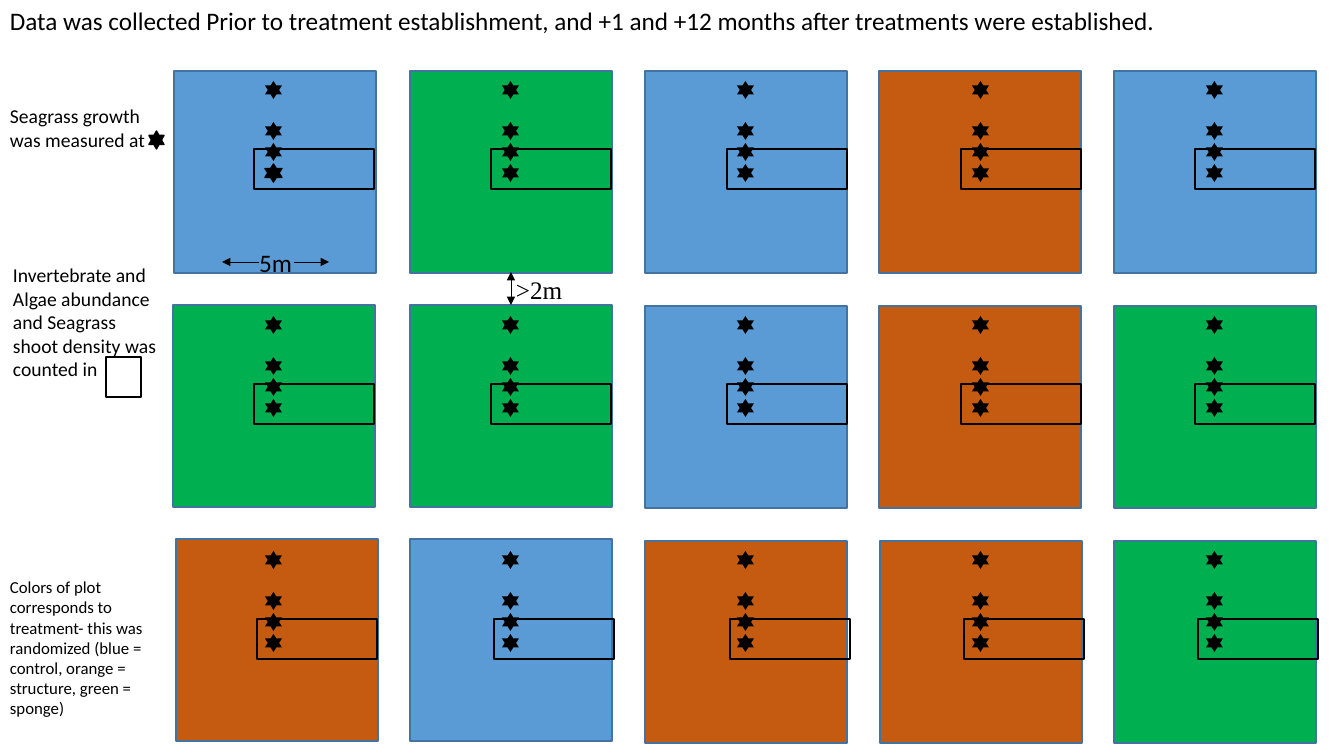
from itertools import product
from pptx import Presentation
from pptx.dml.color import RGBColor
from pptx.enum.shapes import MSO_CONNECTOR, MSO_SHAPE
from pptx.enum.text import MSO_AUTO_SIZE, PP_ALIGN
from pptx.oxml.ns import qn
from pptx.util import Emu, Pt
from lxml.etree import SubElement

PX = 914400 / 100.8
THEME = {
    "black": RGBColor(0x00, 0x00, 0x00),
    "edge": RGBColor(0x43, 0x73, 0x9E),
    "control": RGBColor(0x5B, 0x9B, 0xD5),
    "sponge": RGBColor(0x00, 0xB0, 0x50),
    "structure": RGBColor(0xC5, 0x5A, 0x11),
    "title": Pt(18), "body": Pt(14), "note": Pt(12),
    "outline": Pt(1), "arrow": Pt(0.5),
    "sans": "Calibri", "serif": "Times New Roman",
}


def px(*values):
    return [Emu(round(v * PX)) for v in values]


def add_mark(kind, box, fill=None, line=None):
    sp = s.shapes.add_shape(kind, *px(*box))
    sp.shadow.inherit = False
    for part, color in ((sp.fill, fill), (sp.line.fill, line)):
        if color:
            part.solid()
            part.fore_color.rgb = THEME[color]
        else:
            part.background()
    if line:
        sp.line.width = THEME["outline"]


prs = Presentation()
prs.slide_width, prs.slide_height = px(1344, 756)
s = prs.slides.add_slide(prs.slide_layouts[6])

plots = [
    (174, 71, "control"), (410, 71, "sponge"), (645, 71, "control"),
    (879, 71, "structure"), (1114, 71, "control"),
    (173, 305, "sponge"), (410, 305, "sponge"), (645, 306, "control"),
    (879, 306, "structure"), (1114, 306, "sponge"),
    (176, 539, "structure"), (410, 539, "control"), (645, 541, "structure"),
    (880, 541, "structure"), (1114, 541, "sponge"),
]
for x, y, treatment in plots:
    add_mark(MSO_SHAPE.RECTANGLE, (x, y, 202, 202), treatment, "edge")

row_offsets = (0, 235, 470)
star_columns = (265, 502, 737, 972, 1206)
star_rows = (81, 122, 143, 164)
for x, dy, y in product(star_columns, row_offsets, star_rows):
    first = (x, dy, y) == (265, 0, 164)
    add_mark(MSO_SHAPE.STAR_6_POINT, (x, y + dy, 17, 18), "black", "black" if first else None)

labels = [
    ((0, 0, 1319, 40), "Data was collected Prior to treatment establishment, and +1 and +12 months "
     "after treatments were established.", "title", "sans", PP_ALIGN.LEFT, True),
    ((0, 99, 173, 57), "Seagrass growth was measured at", "body", "sans", PP_ALIGN.LEFT, True),
    ((3, 258, 168, 129), "Invertebrate and Algae abundance and Seagrass shoot density was counted in",
     "body", "sans", PP_ALIGN.LEFT, True),
    ((0, 572, 179, 153), "Colors of plot corresponds to treatment- this was randomized "
     "(blue = control, orange = structure, green = sponge)", "note", "sans", PP_ALIGN.LEFT, True),
    ((222, 242, 107, 40), "5m", "title", "sans", PP_ALIGN.CENTER, True),
    ((506, 269, 74, 40), ">2m", "title", "serif", PP_ALIGN.LEFT, False),
]
for box, text, size, face, align, wrap in labels:
    tf = s.shapes.add_textbox(*px(*box)).text_frame
    for name, value in {"word_wrap": wrap, "auto_size": MSO_AUTO_SIZE.SHAPE_TO_FIT_TEXT}.items():
        setattr(tf, name, value)
    p = tf.paragraphs[0]
    p.alignment = align
    r = p.add_run()
    r.text = text
    for name, value in {"size": THEME[size], "name": THEME[face]}.items():
        setattr(r.font, name, value)
    r.font.color.rgb = THEME["black"]

arrows = [
    ((294, 262, 329, 262), ("tailEnd",)),
    ((259, 262, 222, 262), ("tailEnd",)),
    ((511, 272, 511, 305), ("headEnd", "tailEnd")),
]
for ends, heads in arrows:
    cx = s.shapes.add_connector(MSO_CONNECTOR.STRAIGHT, *px(*ends))
    cx.line.color.rgb = THEME["black"]
    cx.line.width = THEME["arrow"]
    for head in heads:
        SubElement(cx.line._get_or_add_ln(), qn("a:" + head), type="triangle")
    SubElement(cx._element.spPr, qn("a:effectLst"))

add_mark(MSO_SHAPE.RECTANGLE, (106, 357, 35, 40), line="black")
add_mark(MSO_SHAPE.STAR_6_POINT, (149, 131, 15, 18), "black", "black")

quadrat_columns = (254, 491, 727, 961, 1195)
for (dx, dy), x in product(zip((0, 0, 3), row_offsets), quadrat_columns):
    add_mark(MSO_SHAPE.RECTANGLE, (x + dx, 149 + dy, 120, 40), line="black")

prs.save("out.pptx")
